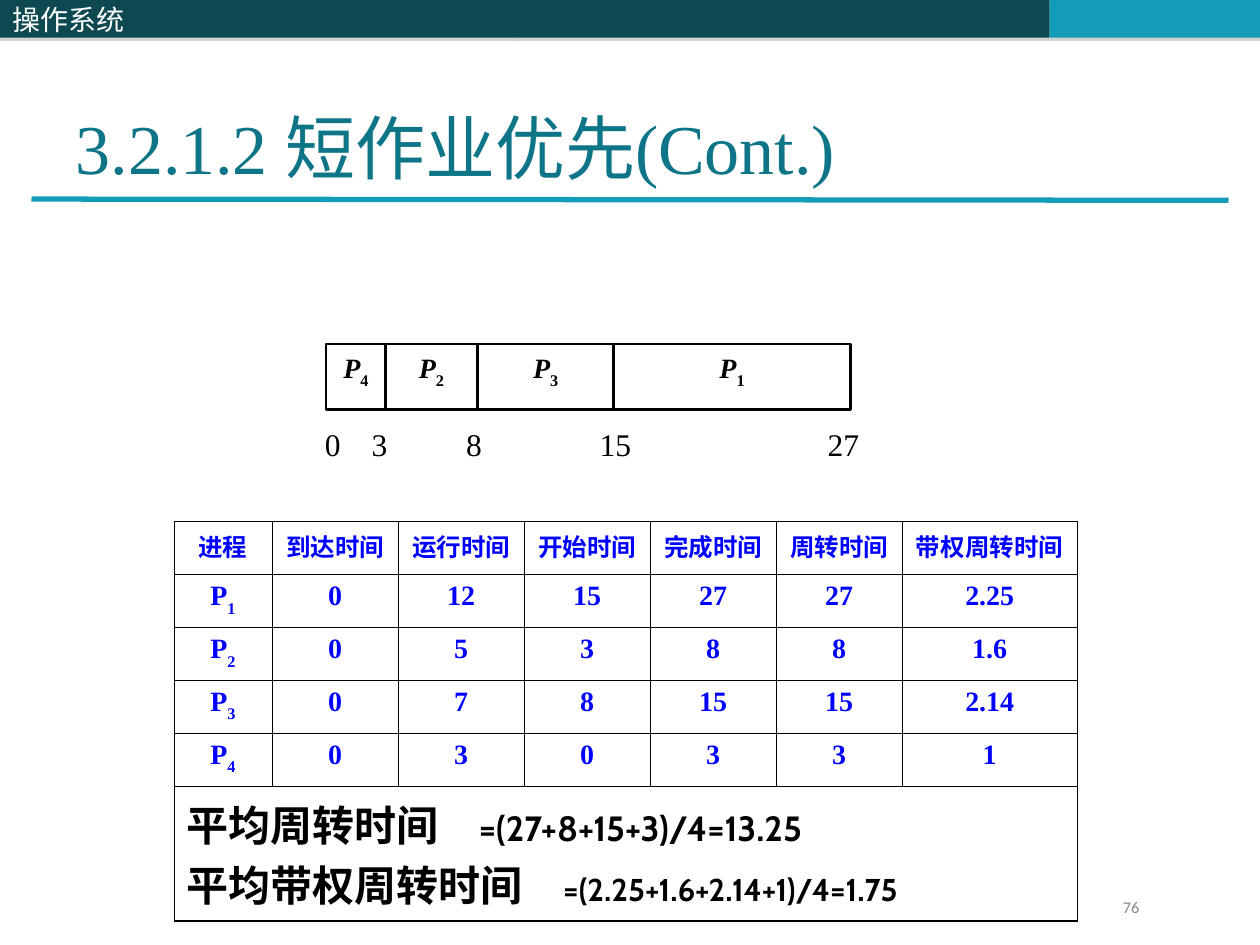
from itertools import product

from lxml.etree import SubElement
from pptx import Presentation
from pptx.dml.color import RGBColor
from pptx.enum.shapes import MSO_CONNECTOR, MSO_SHAPE
from pptx.enum.text import MSO_ANCHOR, PP_ALIGN
from pptx.oxml.ns import qn
from pptx.util import Inches, Pt

COLORS = {
    "dark": "0E4851", "accent": "139CB7", "title": "0E7589", "shadow": "808080",
    "ink": "000000", "data": "0000FF", "page": "898989", "white": "FFFFFF",
}
SERIF, SANS, CJK = "Times New Roman", "Cabin", "Noto Sans CJK SC"


def rgb(name):
    """Return the named colour."""
    return RGBColor.from_string(COLORS[name])


def set_font(paragraph, size, color, name=SERIF, bold=None):
    """Format all runs of a paragraph."""
    font = paragraph.font
    font.size, font.name, font.bold = Pt(size), name, bold
    font.color.rgb = rgb(color)
    SubElement(font._element, qn("a:ea"), typeface=CJK)


def set_tabs(paragraph, stops):
    """Give a paragraph left tab stops, in inches."""
    tabs = SubElement(paragraph._p.get_or_add_pPr(), qn("a:tabLst"))
    for stop in stops:
        SubElement(tabs, qn("a:tab"), pos=str(Inches(stop)), algn="l")


def add_process(paragraph, number, size, color, italic=False):
    """Write a process name with its number as a subscript."""
    letter, subscript = paragraph.add_run(), paragraph.add_run()
    letter.text, subscript.text = "P", str(number)
    if italic:
        letter.font.italic = True
    subscript._r.get_or_add_rPr().set("baseline", "-30000")
    paragraph.alignment = PP_ALIGN.CENTER
    set_font(paragraph, size, color, bold=True)


def add_box(slide, left, top, width, height, fill):
    """Add a filled rectangle without line or shadow."""
    box = slide.shapes.add_shape(
        MSO_SHAPE.RECTANGLE, Inches(left), Inches(top), Inches(width), Inches(height))
    box.shadow.inherit = False
    box.fill.solid()
    box.fill.fore_color.rgb = rgb(fill)
    box.line.fill.background()
    return box


def add_header(slide, left, top, width, height):
    """Draw the course band across the top."""
    course_width, accent_width = 4.08, 1.67
    middle_width = width - course_width - accent_width
    parts = [
        (left + course_width, middle_width, "dark"),
        (left + width - accent_width, accent_width, "accent"),
        (left, course_width, "dark"),
    ]
    for part_left, part_width, color in parts:
        band = add_box(slide, part_left, top, part_width, height, color)
        effects = band._element.spPr.find(qn("a:effectLst"))
        shadow = SubElement(effects, qn("a:outerShdw"), dist=str(Pt(1.8)),
                            dir="5400000", rotWithShape="0")
        tint = SubElement(shadow, qn("a:srgbClr"), val=COLORS["shadow"])
        SubElement(tint, qn("a:alpha"), val="35000")
    band.text_frame.vertical_anchor = MSO_ANCHOR.MIDDLE
    course = band.text_frame.paragraphs[0]
    course.text = "操作系统"
    course.alignment = PP_ALIGN.LEFT
    set_font(course, 16, "white", CJK)


def add_title(slide, left, top, width, height):
    """Place the title and the rule under it."""
    title = slide.shapes.title
    title.left, title.top = Inches(left), Inches(top)
    title.width, title.height = Inches(width), Inches(height)
    title.text_frame.vertical_anchor = MSO_ANCHOR.BOTTOM
    heading = title.text_frame.paragraphs[0]
    heading.text = "3.2.1.2 短作业优先(Cont.)"
    heading.alignment = PP_ALIGN.LEFT
    set_font(heading, 40, "title")
    rule_y = top + height + 0.03
    rule = slide.shapes.add_connector(
        MSO_CONNECTOR.STRAIGHT, Inches(left - 0.25), Inches(rule_y),
        Inches(left + width + 0.25), Inches(rule_y + 0.01))
    rule.line.color.rgb = rgb("accent")
    rule.line.width = Pt(3)
    SubElement(rule._element.spPr, qn("a:effectLst"))


def add_gantt(slide, left, top, height):
    """Draw the schedule bars with the time scale below."""
    bars = [(4, 0, 0.47), (2, 0.47, 0.73), (3, 1.2, 1.08), (1, 2.28, 1.88)]
    for number, offset, width in bars:
        bar = add_box(slide, left + offset, top, width, height, "white")
        bar.line.color.rgb = rgb("ink")
        bar.line.width = Pt(1.25)
        bar.text_frame.vertical_anchor = MSO_ANCHOR.TOP
        add_process(bar.text_frame.paragraphs[0], number, 16, "ink", italic=True)
    scale = slide.shapes.add_textbox(
        Inches(left - 0.11), Inches(top + 0.63), Inches(4.49), Inches(0.36)).text_frame
    scale.word_wrap = True
    scale.margin_top = scale.margin_bottom = Inches(0.01)
    times = scale.paragraphs[0]
    times.text = "0\t3\t8\t15\t27"
    set_tabs(times, [0.37, 1.12, 2.18, 3.99])
    set_font(times, 18, "ink")


def set_borders(cell, top, bottom):
    """Draw black cell borders with the given top and bottom widths."""
    props = cell._tc.get_or_add_tcPr()
    widths = {"lnL": 0.45, "lnR": 0.45, "lnT": top, "lnB": bottom}
    for index, (side, width) in enumerate(widths.items()):
        line = SubElement(props, qn(f"a:{side}"), w=str(Pt(width)))
        fill = SubElement(line, qn("a:solidFill"))
        SubElement(fill, qn("a:srgbClr"), val=COLORS["ink"])
        props.insert(index, line)


def add_times_table(slide, left, top):
    """Fill the turnaround table and its row of averages."""
    headings = ["进程", "到达时间", "运行时间", "开始时间", "完成时间", "周转时间", "带权周转时间"]
    processes = [
        ["0", "12", "15", "27", "27", "2.25"],
        ["0", "5", "3", "8", "8", "1.6"],
        ["0", "7", "8", "15", "15", "2.14"],
        ["0", "3", "0", "3", "3", "1"],
    ]
    averages = [
        ("平均周转时间", "=(27+8+15+3)/4=13.25", 20, 2.32),
        ("平均带权周转时间", "=(2.25+1.6+2.14+1)/4=1.75", 18, 2.99),
    ]
    widths = [0.78] + [1] * 5 + [1.39]
    heights = [0.42] * 5 + [1.07]
    table = slide.shapes.add_table(
        len(heights), len(widths), Inches(left), Inches(top),
        Inches(sum(widths)), Inches(sum(heights))).table
    table.first_row = table.horz_banding = False
    for column, width in zip(table.columns, widths):
        column.width = Inches(width)
    for row, height in zip(table.rows, heights):
        row.height = Inches(height)

    last = len(heights) - 1
    table.cell(last, 0).merge(table.cell(last, len(widths) - 1))
    for r, c in product(range(len(heights)), range(len(widths))):
        cell = table.cell(r, c)
        cell.fill.background()
        set_borders(cell, 1 if r < 2 else 0.45, 1 if r in (0, last) else 0.45)
        entry = cell.text_frame.paragraphs[0]
        if r == last:
            continue
        if r and c == 0:
            add_process(entry, r, 16, "data")
            continue
        entry.text = processes[r - 1][c - 1] if r else headings[c]
        entry.alignment = PP_ALIGN.CENTER
        set_font(entry, 16 if r else 14, "data", bold=True)

    summary = table.cell(last, 0).text_frame
    summary.add_paragraph()
    for average, (label, formula, size, stop) in zip(summary.paragraphs, averages):
        set_tabs(average, [stop])
        average.add_run().text = label + "\t"
        result = average.add_run()
        result.text = formula
        result.font.size = Pt(size)
        set_font(average, 24, "ink", SANS, bold=True)


def add_page_number(slide, left, top, width, height):
    """Write the page number at the right end of its box."""
    frame = slide.shapes.add_textbox(
        Inches(left), Inches(top), Inches(width), Inches(height)).text_frame
    frame.word_wrap = True
    number = frame.paragraphs[0]
    number.text = "76"
    number.alignment = PP_ALIGN.RIGHT
    number.line_spacing = 0.8
    set_font(number, 9.3, "page", "Calibri")


def main():
    """Build and save the slide."""
    deck = Presentation()
    deck.slide_width, deck.slide_height = Inches(10), Inches(7.5)
    slide = deck.slides.add_slide(deck.slide_layouts[5])
    add_header(slide, 0, 0, 10, 0.3)
    add_title(slide, 0.5, 0.3, 9, 1.25)
    add_gantt(slide, 2.59, 2.73, 0.52)
    add_times_table(slide, 1.38, 4.14)
    add_page_number(slide, 7.5, 7.1, 1.64, 0.27)
    deck.save("out.pptx")


if __name__ == "__main__":
    main()
